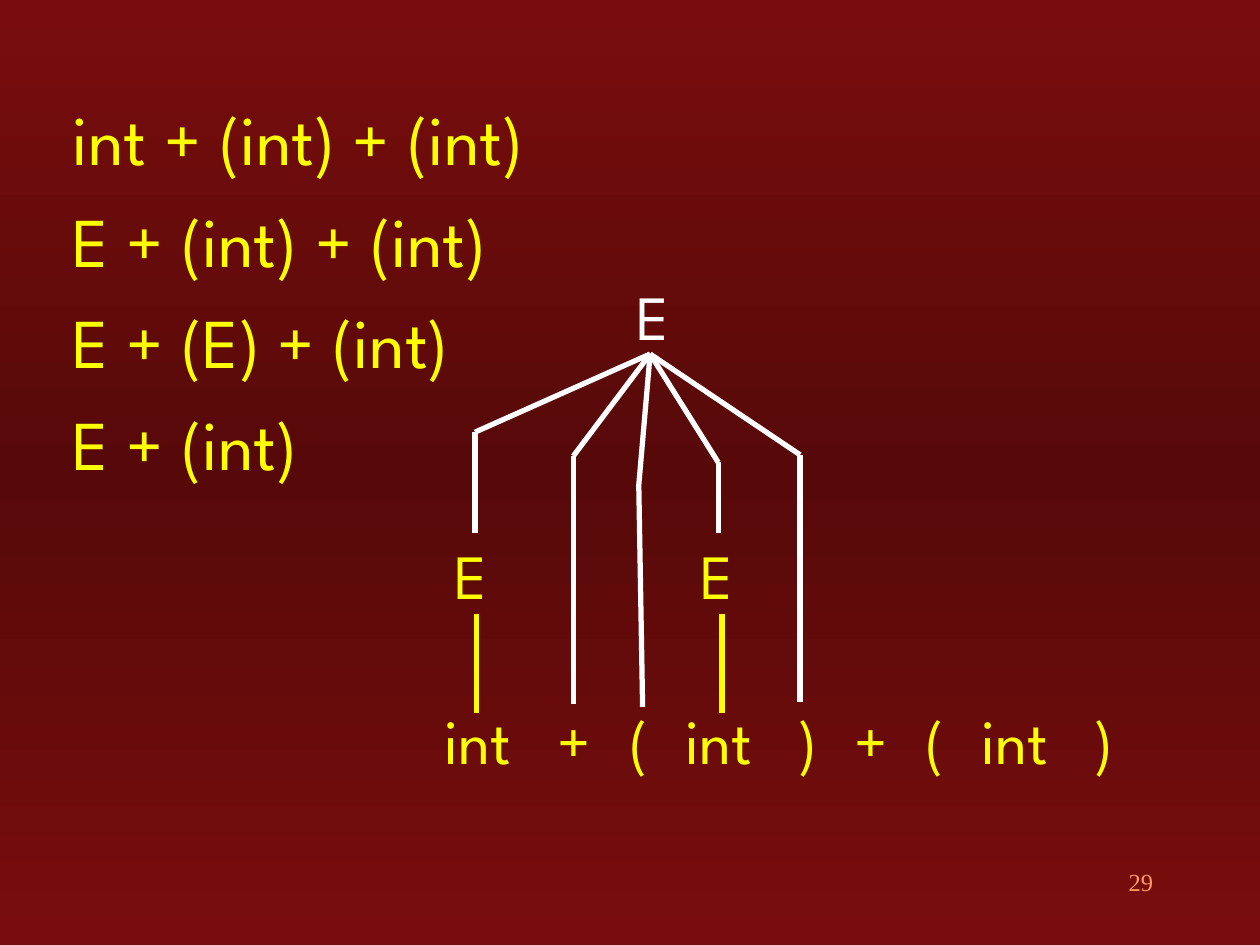
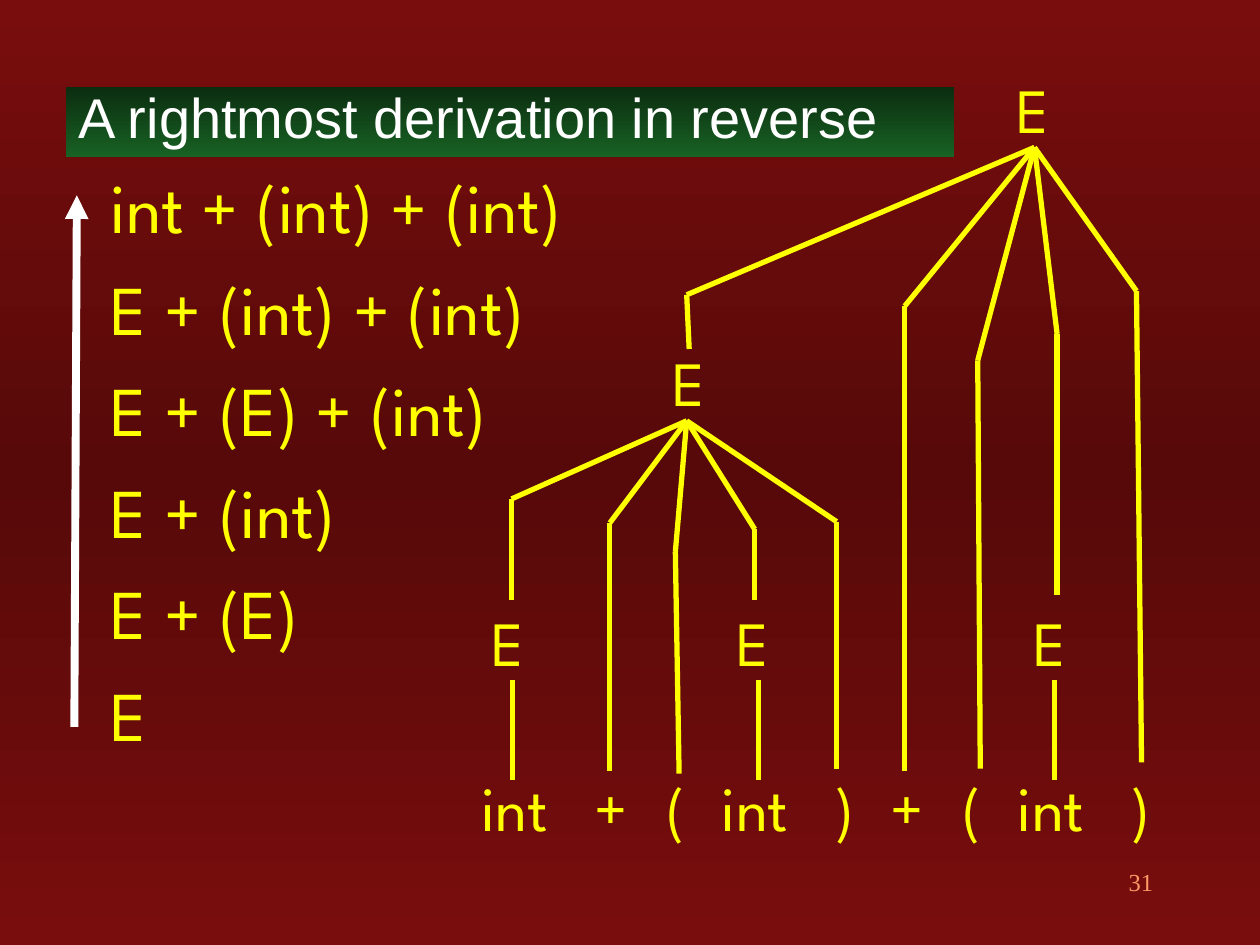
from copy import deepcopy

from lxml import etree
from pptx import Presentation
from pptx.dml.color import RGBColor
from pptx.enum.shapes import MSO_CONNECTOR
from pptx.enum.text import MSO_ANCHOR, MSO_AUTO_SIZE, PP_ALIGN
from pptx.oxml.ns import qn
from pptx.util import Inches, Pt

STRAIGHT = MSO_CONNECTOR.STRAIGHT
TOP = MSO_ANCHOR.TOP
FIT_SHAPE, NO_FIT = MSO_AUTO_SIZE.SHAPE_TO_FIT_TEXT, MSO_AUTO_SIZE.NONE
LEFT, RIGHT = PP_ALIGN.LEFT, PP_ALIGN.RIGHT

MAROON = RGBColor(0x79, 0x0D, 0x0D)
DARK_MAROON = RGBColor(0x57, 0x09, 0x09)
DARK_GREEN = RGBColor(0x0B, 0x2D, 0x10)
GREEN = RGBColor(0x18, 0x62, 0x24)
YELLOW = RGBColor(0xFF, 0xFF, 0x00)
WHITE = RGBColor(0xFF, 0xFF, 0xFF)
ORANGE = RGBColor(0xFF, 0x99, 0x66)

SPARTAN, SANS, SERIF = "League Spartan", "Arial", "Times New Roman"
TITLE_ONLY, BLANK = 5, 6

# Derivation steps, from the input string up to the start symbol
STEPS = ["int + (int) + (int)", "E + (int) + (int)", "E + (E) + (int)",
         "E + (int)", "E + (E)", "E"]

# Parse tree geometry in inches, relative to the tree's own left and top
TOKENS = ["int", "+", "(", "int", ")", "+", "(", "int", ")"]
TOKEN_PITCH = {"int": 0.9, "+": 0.57, "(": 0.44, ")": 0.44}
TOKEN_GAP, TOKEN_TOP = 0.08, 3.37
SYMBOL_WIDTH, SYMBOL_HEIGHT = 0.48, 0.7
LEAF_TOP, STEM_TOP, STEM_BOTTOM = 2.06, 2.72, 3.51
STEM_OFFSET = 0.27
LEAVES = [0.08, 2.03, 4.38]

# Each node: symbol position, apex, then (elbow, foot) of its branches
INNER_NODE = ((1.52, 0), (1.73, 0.66), [
    ((0.34, 1.28), (0.34, 2.08)),
    ((1.12, 1.47), (1.12, 3.44)),
    ((1.64, 1.7), (1.67, 3.46)),
    ((2.27, 1.52), (2.27, 2.08)),
    ((2.92, 1.46), (2.92, 3.42))])
ROOT_NODE = ((4.25, -2.17), (4.49, -1.51), [
    ((1.73, -0.34), (1.75, 0.09)),
    ((3.46, -0.25), (3.46, 3.44)),
    ((4.04, 0.18), (4.06, 3.42)),
    ((4.67, -0.03), (4.67, 2.04)),
    ((5.3, -0.37), (5.34, 3.37))])


def write(frame, lines, *, size, font=SPARTAN, color=YELLOW, align=LEFT,
          before=0, spacing=None, wrap=True, fit=NO_FIT):
    """Fill a text frame with one paragraph per line."""
    frame.word_wrap = wrap
    frame.auto_size = fit
    frame.vertical_anchor = TOP
    for index, line in enumerate(lines):
        paragraph = frame.paragraphs[0] if index == 0 else frame.add_paragraph()
        paragraph.text = line
        paragraph.alignment = align
        paragraph.space_before = Pt(before if index else 0)
        if spacing:
            paragraph.line_spacing = spacing
        paragraph.font.size = Pt(size)
        paragraph.font.name = font
        paragraph.font.color.rgb = color


def add_text(slide, lines, left, top, width, height, **style):
    box = slide.shapes.add_textbox(*map(Inches, (left, top, width, height)))
    write(box.text_frame, lines, **style)


def add_line(slide, start, end, color=YELLOW, weight=3, arrow=False):
    line = slide.shapes.add_connector(STRAIGHT, *map(Inches, (*start, *end)))
    line.line.color.rgb = color
    line.line.width = Pt(weight)
    properties = line.line._get_or_add_ln()
    if arrow:
        etree.SubElement(properties, qn("a:tailEnd"), type="triangle")
    properties.addnext(etree.Element(qn("a:effectLst")))


def paint_gradient(fill, colors):
    """Top-to-bottom gradient, set on the stops that the fill has."""
    fill.gradient_angle = 270
    last = len(colors) - 1
    for index, (stop, color) in enumerate(zip(fill.gradient_stops, colors)):
        stop.color.rgb = color
        stop.position = index / last


def paint_background(master):
    fill = master.background.fill
    fill.gradient()
    stops = master.element.xpath("./p:cSld/p:bg//a:gsLst")[0]
    stops.append(deepcopy(stops[-1]))
    paint_gradient(fill, [MAROON, DARK_MAROON, MAROON])


def add_title(slide, text, left, top, width, height):
    title = slide.shapes.title
    title.left, title.top = Inches(left), Inches(top)
    title.width, title.height = Inches(width), Inches(height)
    title.fill.gradient()
    paint_gradient(title.fill, [DARK_GREEN, GREEN])
    write(title.text_frame, [text], size=32, font=SANS, color=WHITE,
          spacing=0.85)


def add_derivation(slide, steps, left, top):
    add_text(slide, steps, left, top, 4.35, 4.81, size=40, before=10)


def add_slide_number(slide, number):
    add_text(slide, [str(number)], 7.17, 6.83, 2.08, 0.5,
             size=14, font=SERIF, color=ORANGE, align=RIGHT)


def add_tree(slide, left, top, nodes, leaves, color):
    def place(point):
        return left + point[0], top + point[1]

    def symbol(text, point, width=SYMBOL_WIDTH, color=YELLOW):
        add_text(slide, [text], *place(point), width, SYMBOL_HEIGHT,
                 size=36, color=color, wrap=False, fit=FIT_SHAPE)

    # Input tokens along the bottom
    x = 0
    for token in TOKENS:
        pitch = TOKEN_PITCH[token]
        symbol(token, (x, TOKEN_TOP), pitch - TOKEN_GAP)
        x += pitch

    # Reduced leaves, each with a stem to its token
    for x in leaves:
        symbol("E", (x, LEAF_TOP))
        stem = x + STEM_OFFSET
        add_line(slide, place((stem, STEM_TOP)), place((stem, STEM_BOTTOM)))

    # Nodes with bent branches
    for position, apex, branches in nodes:
        symbol("E", position, color=color)
        for elbow, foot in branches:
            add_line(slide, place(apex), place(elbow), color)
            add_line(slide, place(elbow), place(foot), color)


def build_partial_parse(prs):
    slide = prs.slides.add_slide(prs.slide_layouts[BLANK])
    add_derivation(slide, STEPS[:4], 0.48, 0.71)
    add_tree(slide, 3.43, 2.15, [INNER_NODE], LEAVES[:2], WHITE)
    add_slide_number(slide, 29)


def build_complete_parse(prs):
    slide = prs.slides.add_slide(prs.slide_layouts[TITLE_ONLY])
    add_title(slide, "A rightmost derivation in reverse", 0.52, 0.69, 7.05, 0.56)
    add_derivation(slide, STEPS, 0.78, 1.25)
    add_tree(slide, 3.72, 2.68, [INNER_NODE, ROOT_NODE], LEAVES, YELLOW)
    add_line(slide, (0.59, 5.77), (0.61, 1.55), WHITE, 4.5, arrow=True)
    add_slide_number(slide, 31)


def main():
    prs = Presentation()
    prs.slide_width, prs.slide_height = Inches(10), Inches(7.5)
    paint_background(prs.slide_master)
    build_partial_parse(prs)
    build_complete_parse(prs)
    prs.save("out.pptx")


if __name__ == "__main__":
    main()
